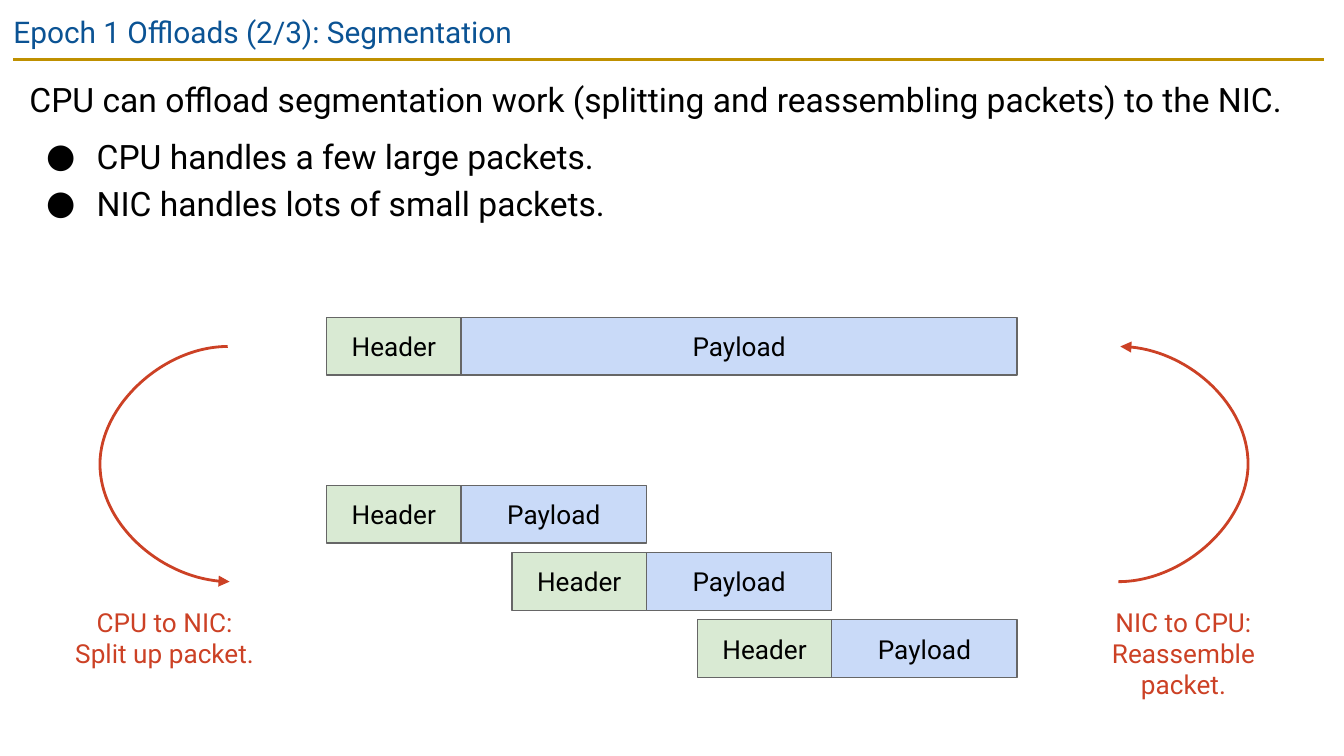
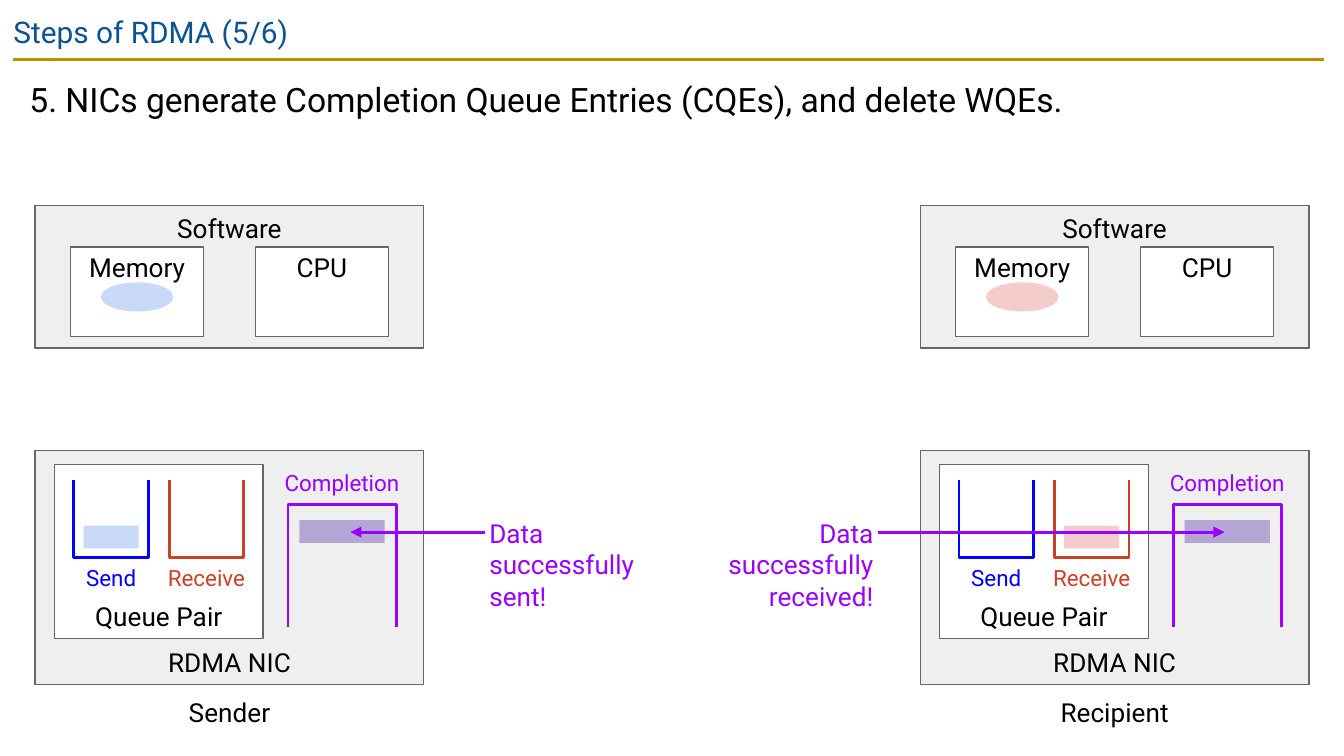
from dataclasses import dataclass

from lxml.etree import SubElement
from pptx import Presentation
from pptx.dml.color import RGBColor
from pptx.enum.shapes import MSO_CONNECTOR, MSO_SHAPE
from pptx.enum.text import MSO_ANCHOR, MSO_AUTO_SIZE, PP_ALIGN
from pptx.oxml.ns import qn
from pptx.util import Pt

FONT = "Roboto"
BLACK = RGBColor(0x00, 0x00, 0x00)
WHITE = RGBColor(0xFF, 0xFF, 0xFF)
TITLE_BLUE = RGBColor(0x0B, 0x53, 0x94)
GOLD = RGBColor(0xBF, 0x90, 0x00)
OUTLINE = RGBColor(0x66, 0x66, 0x66)
PANEL_GREY = RGBColor(0xEF, 0xEF, 0xEF)
HEADER_GREEN = RGBColor(0xD9, 0xEA, 0xD3)
DATA_BLUE = RGBColor(0xC9, 0xDA, 0xF8)
DATA_PINK = RGBColor(0xF4, 0xCC, 0xCC)
SEND_BLUE = RGBColor(0x00, 0x00, 0xFF)
RED = RGBColor(0xCC, 0x41, 0x25)
PURPLE = RGBColor(0x99, 0x00, 0xFF)
ENTRY_PURPLE = RGBColor(0xB4, 0xA7, 0xD6)


@dataclass(frozen=True)
class Box:
    """A rectangle in points."""
    left: float
    top: float
    width: float
    height: float

    def inner(self, x, y, width, height):
        """Return a box offset from this one's top left corner."""
        return Box(self.left + x, self.top + y, width, height)

    def centred(self, y, width, height):
        """Return a box centred across this one."""
        return self.inner((self.width - width) / 2, y, width, height)

    def lengths(self):
        """Return left, top, width and height as lengths."""
        return [Pt(n) for n in (self.left, self.top, self.width, self.height)]


def write(owner, text, *, size=14, color=BLACK, align=PP_ALIGN.CENTER,
          anchor=MSO_ANCHOR.TOP, inset=3.6, fit=MSO_AUTO_SIZE.NONE):
    """Fill the owner with one paragraph per line and return the paragraphs."""
    frame = owner.text_frame
    frame.text = text
    frame.word_wrap = True
    frame.auto_size = fit
    frame.vertical_anchor = anchor
    frame.margin_left = frame.margin_right = Pt(inset)
    frame.margin_top = frame.margin_bottom = Pt(inset)
    for paragraph in frame.paragraphs:
        paragraph.alignment = align
        font = paragraph.runs[0].font
        font.name, font.size, font.color.rgb = FONT, Pt(size), color
    return frame.paragraphs


def add_label(slide, box, text, **style):
    """Add free text that grows with its content."""
    label = slide.shapes.add_textbox(*box.lengths())
    write(label, text, inset=2.16, fit=MSO_AUTO_SIZE.SHAPE_TO_FIT_TEXT, **style)


def add_block(slide, box, fill, text="", outline=OUTLINE,
              kind=MSO_SHAPE.RECTANGLE, **style):
    """Add a filled shape, outlined and captioned as asked."""
    block = slide.shapes.add_shape(kind, *box.lengths())
    block.shadow.inherit = False
    block.fill.solid()
    block.fill.fore_color.rgb = fill
    if outline is None:
        block.line.fill.background()
    else:
        block.line.color.rgb = outline
        block.line.width = Pt(0.75)
    if text:
        write(block, text, **style)


def add_line(slide, start, end, color, arrow=None, bulge=None):
    """Add a line with an arrowhead, bowed sideways when a bulge is given."""
    kind = MSO_CONNECTOR.CURVE if bulge else MSO_CONNECTOR.STRAIGHT
    line = slide.shapes.add_connector(kind, *map(Pt, start + end))
    line.line.color.rgb = color
    line.line.width = Pt(1.5)
    properties = line.element.spPr
    if arrow:
        SubElement(properties.find(qn("a:ln")), qn(f"a:{arrow}"), type="triangle")
    if bulge:
        ratio = round(-100000 * bulge / abs(end[0] - start[0]))
        adjustments = properties.find(qn("a:prstGeom")).get_or_add_avLst()
        SubElement(adjustments, qn("a:gd"), name="adj1", fmla=f"val {ratio}")
    SubElement(properties, qn("a:effectLst"))
    return line


def set_bullet(paragraph, bulleted):
    """Give a paragraph a round bullet, or none."""
    properties = paragraph._p.get_or_add_pPr()
    properties.set("marL", str(Pt(36 if bulleted else 0)))
    properties.set("indent", str(Pt(-27 if bulleted else 0)))
    if bulleted:
        color = SubElement(properties, qn("a:buClr"))
        SubElement(color, qn("a:srgbClr"), val=str(BLACK))
        SubElement(properties, qn("a:buFont"), typeface=FONT)
        SubElement(properties, qn("a:buChar"), char="●")
    else:
        SubElement(properties, qn("a:buNone"))


def add_slide(deck, title, lead, points=(), body_height=65.5):
    """Add a slide with its title, lead sentence and bullet points."""
    slide = deck.slides.add_slide(deck.slide_layouts[1])
    heading, body = slide.placeholders
    for holder, box in ((heading, Box(0, 0, 720, 31)),
                        (body, Box(8.6, 31.7, 701.3, body_height))):
        holder.left, holder.top, holder.width, holder.height = box.lengths()
    write(heading, title, size=16, color=TITLE_BLUE, align=PP_ALIGN.LEFT, inset=7.2)
    paragraphs = write(body, "\n".join([lead, *points]), size=18,
                       align=PP_ALIGN.LEFT, inset=7.2)
    for index, paragraph in enumerate(paragraphs):
        paragraph.line_spacing = 1.15
        paragraph.space_before = Pt(6 if index < 2 else 0)
        set_bullet(paragraph, index > 0)
    return slide


def add_master_rule(deck, slide):
    """Put the gold rule under the title on the slide master."""
    rule = add_line(slide, (7.2, 31.7), (709.2, 31.7), GOLD)
    rule.element.nvCxnSpPr.cNvPr.id = 100
    deck.slide_master.shapes.element.append(rule.element)


def draw_packet(slide, box):
    """Draw a packet: a header of fixed width, then the payload."""
    header = 72
    add_block(slide, box.inner(0, 0, header, box.height), HEADER_GREEN, "Header",
              anchor=MSO_ANCHOR.MIDDLE, inset=7.2)
    add_block(slide, box.inner(header, 0, box.width - header, box.height), DATA_BLUE,
              "Payload", anchor=MSO_ANCHOR.MIDDLE, inset=7.2)


def draw_segmentation(slide, box):
    """Draw one large packet, its fragments and the two conversions."""
    count, payload, height = 3, 99.3, 31
    draw_packet(slide, box.inner(139, 0, 72 + count * payload, height))
    for index in range(count):
        draw_packet(slide, box.inner(139 + index * payload, 90 + index * 36,
                                     72 + payload, height))
    upper, lower = box.top + 15.6, box.top + 141.6
    for x, step, arrow, label_x, label_height, text in (
            (86, 1, "tailEnd", 0, 38, "CPU to NIC: Split up packet."),
            (564.2, -1, "headEnd", 545.8, 55.5, "NIC to CPU: Reassemble packet.")):
        start = box.left + x
        add_line(slide, (start, upper), (start + step, lower), RED, arrow, bulge=69)
        add_label(slide, box.inner(label_x, 152.5, 104.4, label_height), text, color=RED)


def draw_tray(slide, box, color, open_down=False):
    """Draw a three-sided queue outline."""
    left, right = box.left, box.left + box.width
    rim, base = box.top, box.top + box.height
    if open_down:
        rim, base = base, rim
    points = [(Pt(x), Pt(y)) for x, y in
              ((left, rim), (left, base), (right, base), (right, rim))]
    builder = slide.shapes.build_freeform(*points[0])
    builder.add_line_segments(points[1:], close=False)
    tray = builder.convert_to_shape()
    tray.shadow.inherit = False
    tray.fill.background()
    tray.line.color.rgb = color
    tray.line.width = Pt(1.5)


def draw_software(slide, box, data_color):
    """Draw the software panel with memory and CPU."""
    add_block(slide, box, PANEL_GREY, "Software")
    margin, width = 19, 71.3
    memory = box.inner(margin, 22.2, width, 48.2)
    cpu = box.inner(box.width - margin - width, 22.2, width, 48.2)
    for part, text in ((memory, "Memory"), (cpu, "CPU")):
        add_block(slide, part, WHITE, text, inset=2.16)
    add_block(slide, memory.centred(19, 38.8, 15.6), data_color,
              outline=None, kind=MSO_SHAPE.OVAL)


def draw_nic(slide, box, busy_queue, data_color):
    """Draw the NIC panel with its queue pair and completion queue."""
    add_block(slide, box, PANEL_GREY, "RDMA NIC", anchor=MSO_ANCHOR.BOTTOM)
    pair = box.inner(10.4, 7.5, 111.8, 93.2)
    add_block(slide, pair, WHITE, "Queue Pair", anchor=MSO_ANCHOR.BOTTOM)
    for x, name, color, label_width in ((10.4, "Send", SEND_BLUE, 39.9),
                                        (61.5, "Receive", RED, 54)):
        queue = pair.inner(x, 8.3, 39.9, 41.6)
        draw_tray(slide, queue, color)
        add_label(slide, queue.centred(43, label_width, 18.7), name, size=12, color=color)
        if name == busy_queue:
            add_block(slide, queue.centred(24.5, 29.5, 12.2), data_color, outline=None)
    completion = box.inner(135.5, 28.8, 57.9, 65.7)
    draw_tray(slide, completion, PURPLE, open_down=True)
    add_label(slide, completion.centred(-21, 66.2, 18.7), "Completion",
              size=12, color=PURPLE)
    add_block(slide, completion.centred(8.6, 45.6, 12.2), ENTRY_PURPLE, outline=None)


def draw_host(slide, box, name, busy_queue, data_color):
    """Draw one host: software above, NIC below, name underneath."""
    draw_software(slide, box.inner(0, 0, box.width, 76.3), data_color)
    draw_nic(slide, box.inner(0, 131.2, box.width, 125.3), busy_queue, data_color)
    add_label(slide, box.centred(260.7, 90.7, 21.5), name)


def draw_callout(slide, box, text, align, start_x, tip_x):
    """Draw a purple remark with an arrow to its completion entry."""
    add_label(slide, box, text, color=PURPLE, align=align)
    y = box.top + 10.1
    add_line(slide, (start_x, y), (tip_x, y), PURPLE, "tailEnd")


def main():
    """Build and save the deck."""
    deck = Presentation()
    deck.slide_width, deck.slide_height = Pt(720), Pt(405)

    segmentation = add_slide(
        deck, "Epoch 1 Offloads (2/3): Segmentation",
        "CPU can offload segmentation work (splitting and reassembling packets) to the NIC.",
        ("CPU handles a few large packets.", "NIC handles lots of small packets."),
        body_height=108)
    add_master_rule(deck, segmentation)
    draw_segmentation(segmentation, Box(36, 170, 650.2, 208))

    rdma = add_slide(
        deck, "Steps of RDMA (5/6)",
        "5. NICs generate Completion Queue Entries (CQEs), and delete WQEs.")
    for left, name, busy_queue, data_color in (
            (18.8, "Sender", "Send", DATA_BLUE),
            (493, "Recipient", "Receive", DATA_PINK)):
        draw_host(rdma, Box(left, 110.1, 208.3, 282.2), name, busy_queue, data_color)
    draw_callout(rdma, Box(260, 275, 84.2, 55.5), "Data successfully sent!",
                 PP_ALIGN.LEFT, 260, 187.7)
    draw_callout(rdma, Box(385.9, 275, 84.2, 55.5), "Data successfully received!",
                 PP_ALIGN.RIGHT, 470.1, 656)

    deck.save("out.pptx")


if __name__ == "__main__":
    main()
